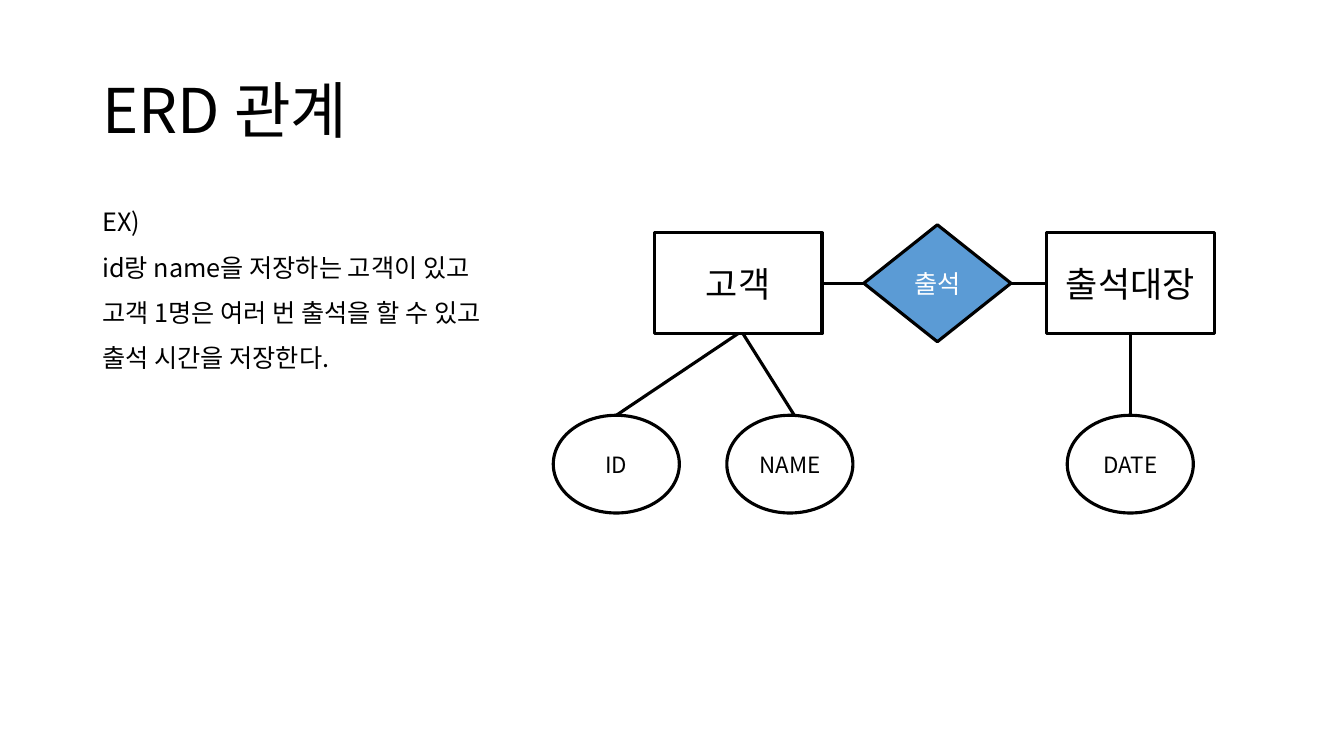
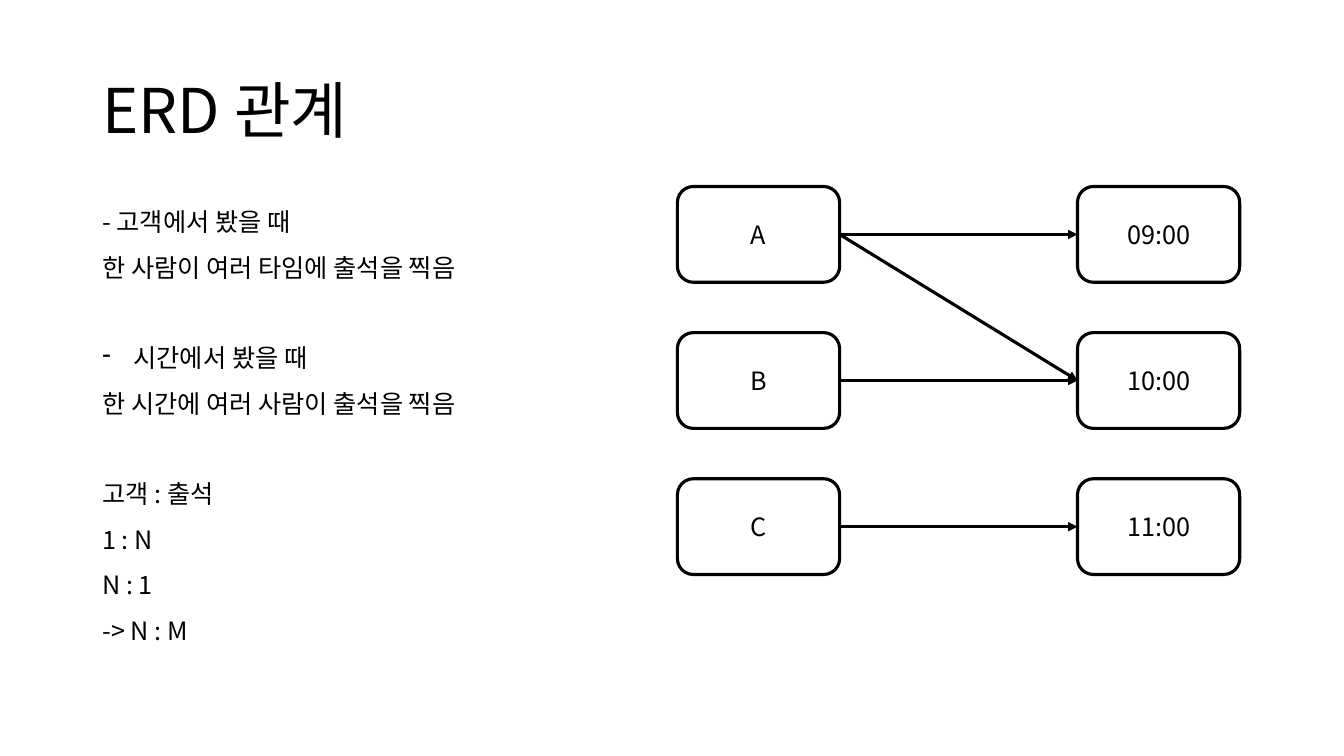
from lxml.etree import SubElement
from pptx import Presentation
from pptx.dml.color import RGBColor
from pptx.enum.shapes import MSO_CONNECTOR, MSO_SHAPE
from pptx.enum.text import MSO_ANCHOR, MSO_AUTO_SIZE, PP_ALIGN
from pptx.oxml.ns import qn
from pptx.util import Inches, Pt

# Shared look
FONT = "Noto Sans CJK KR"
BLACK, WHITE, BLUE = "000000", "FFFFFF", "5B9BD5"
SLIDE_WIDTH, SLIDE_HEIGHT = Inches(13.33), Inches(7.5)
LINE_WIDTH = Pt(2.25)
TITLE = "ERD 관계"
TITLE_BOX = (6.88, 5.33, 86.25, 19.33)
BODY_LEFT, BODY_TOP, BODY_WIDTH = 6.88, 24.67, 34.8
BODY_GAP = Pt(32.4)
TOP, LEFT, BOTTOM, RIGHT = range(4)


def color(value):
    return RGBColor.from_string(value)


def across(percent):
    return round(SLIDE_WIDTH * percent / 100)


def down(percent):
    return round(SLIDE_HEIGHT * percent / 100)


def place(left, top, width, height):
    """Turn shares of the slide, in percent, into lengths."""
    return across(left), down(top), across(width), down(height)


def apply(target, values):
    for name, value in values.items():
        setattr(target, name, value)


def write(paragraph, text, size, text_color=BLACK, **layout):
    apply(paragraph, layout)
    run = paragraph.add_run()
    run.text = text
    apply(run.font, {"name": FONT, "size": Pt(size)})
    run.font.color.rgb = color(text_color)
    SubElement(run.font._element, qn("a:ea"), typeface=FONT)


def style_line(line):
    line.color.rgb = color(BLACK)
    line.width = LINE_WIDTH


# Kinds of element
def add_titled_slide(presentation):
    slide = presentation.slides.add_slide(presentation.slide_layouts[5])
    title = slide.shapes.title
    apply(title, dict(zip(("left", "top", "width", "height"), place(*TITLE_BOX))))
    title.text_frame.vertical_anchor = MSO_ANCHOR.MIDDLE
    write(title.text_frame.paragraphs[0], TITLE, 44,
          alignment=PP_ALIGN.LEFT, line_spacing=0.9)
    return slide


def add_dash(paragraph):
    properties = paragraph._p.get_or_add_pPr()
    indent = Inches(0.31)
    properties.set("marL", str(indent))
    properties.set("indent", str(-indent))
    SubElement(properties, qn("a:buChar"), char="-")


def add_body(slide, height, groups, dashed=()):
    """Write groups of lines, one line's height apart."""
    box = slide.shapes.add_textbox(*place(BODY_LEFT, BODY_TOP, BODY_WIDTH, height))
    frame = box.text_frame
    apply(frame, {"word_wrap": True, "auto_size": MSO_AUTO_SIZE.SHAPE_TO_FIT_TEXT})
    for group_number, group in enumerate(groups):
        for line_number, text in enumerate(group):
            first = group_number == line_number == 0
            paragraph = frame.paragraphs[0] if first else frame.add_paragraph()
            starts_group = group_number > 0 and line_number == 0
            write(paragraph, text, 18, line_spacing=1.5,
                  space_before=BODY_GAP if starts_group else Pt(0))
            if text in dashed:
                add_dash(paragraph)


def add_node(slide, kind, box, text, size, fill=None, text_color=BLACK):
    shape = slide.shapes.add_shape(kind, *place(*box))
    shape.shadow.inherit = False
    if fill:
        shape.fill.solid()
        shape.fill.fore_color.rgb = color(fill)
    else:
        shape.fill.background()
    style_line(shape.line)
    shape.text_frame.vertical_anchor = MSO_ANCHOR.MIDDLE
    write(shape.text_frame.paragraphs[0], text, size, text_color,
          alignment=PP_ALIGN.CENTER)
    return shape


def add_line(slide, start=(0, 0), end=(0, 0), arrow=False):
    connector = slide.shapes.add_connector(
        MSO_CONNECTOR.STRAIGHT, across(start[0]), down(start[1]),
        across(end[0]), down(end[1]))
    style_line(connector.line)
    if arrow:
        SubElement(connector.line._get_or_add_ln(), qn("a:tailEnd"), type="triangle")
    SubElement(connector._element.spPr, qn("a:effectLst"))
    return connector


def join(slide, start, start_side, end, end_side, arrow=False):
    connector = add_line(slide, arrow=arrow)
    connector.begin_connect(start, start_side)
    connector.end_connect(end, end_side)


# Slides
def build_diagram_slide(presentation):
    slide = add_titled_slide(presentation)
    add_body(slide, 25.6, [["EX)", "id랑 name을 저장하는 고객이 있고",
                            "고객 1명은 여러 번 출석을 할 수 있고",
                            "출석 시간을 저장한다."]])

    # Entities and their relationship
    entity_top, entity_width, entity_height = 30.8, 12.5, 13.33
    customer, register = [
        add_node(slide, MSO_SHAPE.RECTANGLE,
                 (left, entity_top, entity_width, entity_height), text, 25)
        for left, text in ((48.67, "고객"), (77.85, "출석대장"))]
    join(slide, customer, RIGHT, register, LEFT)
    add_node(slide, MSO_SHAPE.DIAMOND, (64.27, 29.73, 10.95, 15.47),
             "출석", 18, BLUE, WHITE)

    # Attributes
    attribute_top = 54.93
    identifier, _, date = [
        add_node(slide, MSO_SHAPE.OVAL, (left, attribute_top, 9.38, 12.93), text, 16)
        for left, text in ((41.17, "ID"), (54.08, "NAME"), (79.41, "DATE"))]
    join(slide, customer, BOTTOM, identifier, TOP)
    join(slide, register, BOTTOM, date, TOP)
    add_line(slide, (55.28, entity_top + entity_height), (59.1, attribute_top))


def build_mapping_slide(presentation):
    slide = add_titled_slide(presentation)
    dashed = "시간에서 봤을 때"
    add_body(slide, 61.87, [
        ["- 고객에서 봤을 때", "한 사람이 여러 타임에 출석을 찍음"],
        [dashed, "한 시간에 여러 사람이 출석을 찍음"],
        ["고객 : 출석", "1 : N", "N : 1", "-> N : M"]], dashed=[dashed])

    # Two columns of boxes
    people, times = [
        [add_node(slide, MSO_SHAPE.ROUNDED_RECTANGLE,
                  (left, BODY_TOP + 19.33 * row, 12.07, 12.67), text, 18)
         for row, text in enumerate(labels)]
        for left, labels in ((50.4, ("A", "B", "C")),
                             (80.17, ("09:00", "10:00", "11:00")))]

    # Arrows from person to time
    for person, time in ((0, 0), (0, 1), (1, 1), (2, 2)):
        join(slide, people[person], RIGHT, times[time], LEFT, arrow=True)


def main():
    presentation = Presentation()
    apply(presentation, {"slide_width": SLIDE_WIDTH, "slide_height": SLIDE_HEIGHT})
    build_diagram_slide(presentation)
    build_mapping_slide(presentation)
    presentation.save("out.pptx")


if __name__ == "__main__":
    main()
